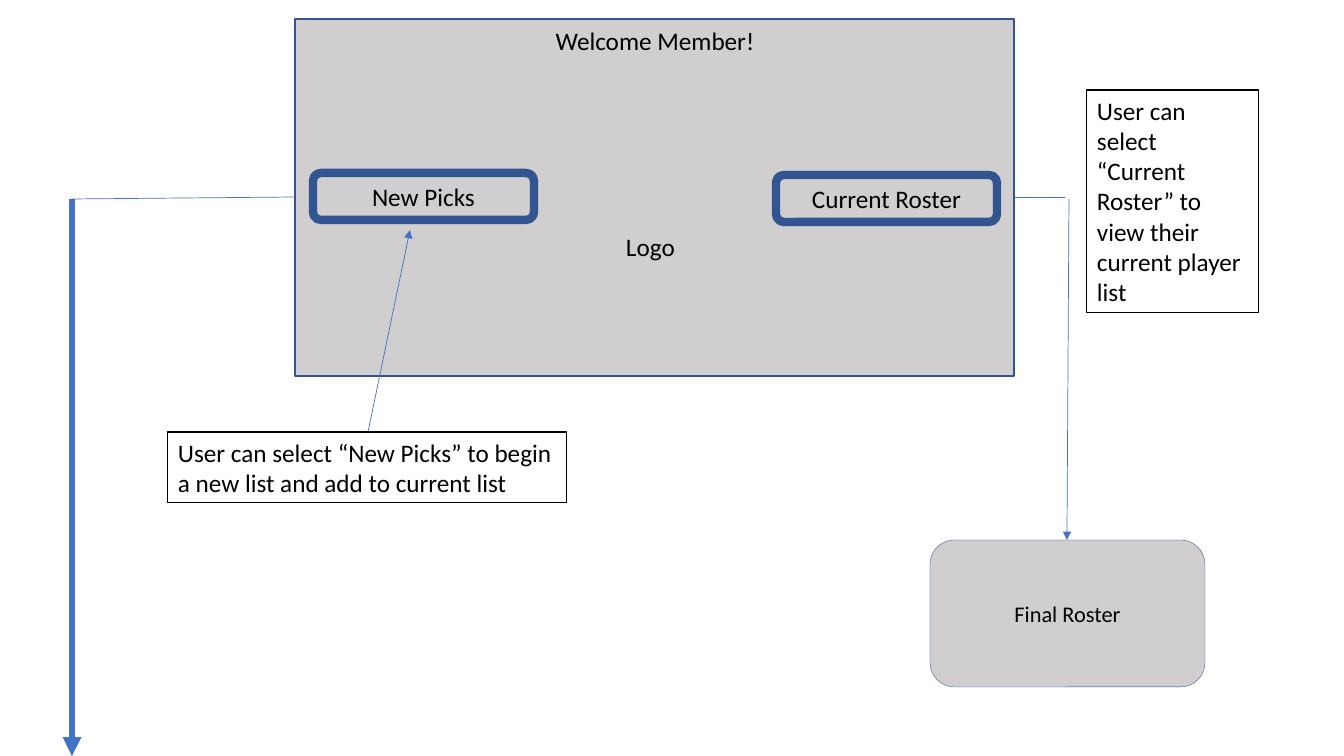
"""Build the member welcome screen flow slide."""
from lxml import etree
from pptx import Presentation
from pptx.dml.color import RGBColor
from pptx.enum.shapes import MSO_CONNECTOR as CONN, MSO_SHAPE as SHAPE
from pptx.enum.text import MSO_ANCHOR as ANCHOR, MSO_AUTO_SIZE as FIT, PP_ALIGN as ALIGN
from pptx.oxml.ns import qn
from pptx.util import Pt

PX = 914400 / 100.8
COLORS = {"panel": "D0CECE", "edge": "325491", "arrow": "4472C4", "ink": "000000"}


def px(*values):
    return [round(v * PX) for v in values]


def write(sp, text, size=18, align=ALIGN.LEFT, anchor=ANCHOR.TOP):
    tf = sp.text_frame
    tf.word_wrap = True
    tf.auto_size = FIT.NONE
    tf.vertical_anchor = anchor
    tf.margin_left, tf.margin_right, tf.margin_top, tf.margin_bottom = px(10, 10, 5, 5)
    p = tf.paragraphs[0]
    p.alignment = align
    r = p.add_run()
    r.text = text
    r.font.size = Pt(size)
    r.font.name = "Calibri"
    r.font.color.rgb = RGBColor.from_string(COLORS["ink"])


prs = Presentation()
prs.slide_width, prs.slide_height = px(1344, 756)
s = prs.slides.add_slide(prs.slide_layouts[5])

boxes = [
    (SHAPE.RECTANGLE, (295, 19, 719, 357), 1, ""),
    (SHAPE.ROUNDED_RECTANGLE, (313, 173, 221, 47), 6, "New Picks"),
    (SHAPE.ROUNDED_RECTANGLE, (776, 175, 221, 47), 6, "Current Roster"),
    (SHAPE.ROUNDED_RECTANGLE, (930, 540, 275, 147), 0.25, "Final Roster"),
]
for kind, place, weight, text in boxes:
    sp = s.shapes.add_shape(kind, *px(*place))
    sp.shadow.inherit = False
    sp.fill.solid()
    sp.fill.fore_color.rgb = RGBColor.from_string(COLORS["panel"])
    sp.line.color.rgb = RGBColor.from_string(COLORS["edge"])
    sp.line.width = Pt(weight)
    if text:
        write(sp, text, size=16 if text == "Final Roster" else 18,
              align=ALIGN.CENTER, anchor=ANCHOR.MIDDLE)

notes = [
    ((168, 432, 399, 71), "User can select “New Picks” to begin a new list and add to current list"),
    ((1087, 90, 172, 223), "User can select “Current Roster” to view their current player list"),
]
for place, text in notes:
    sp = s.shapes.add_textbox(*px(*place))
    sp.line.color.rgb = RGBColor.from_string(COLORS["ink"])
    sp.line.width = Pt(0.75)
    write(sp, text)

logo = s.shapes.add_textbox(*px(616, 226, 97, 40))
write(logo, "Logo")

title = s.shapes.title
title.left, title.top, title.width, title.height = px(534, 20, 242, 40)
write(title, "Welcome Member!", align=ALIGN.CENTER)
title.element.getparent().append(title.element)

links = [
    ((368, 432, 410, 230), 0.5, True),
    ((1014, 197, 1065, 197), 0.5, False),
    ((1069, 199, 1067, 540), 0.5, True),
    ((295, 197, 72, 199), 0.5, False),
    ((72, 199, 72, 756), 4.5, True),
]
for ends, weight, arrow in links:
    sp = s.shapes.add_connector(CONN.STRAIGHT, *px(*ends))
    sp.line.color.rgb = RGBColor.from_string(COLORS["arrow"])
    sp.line.width = Pt(weight)
    if arrow:
        etree.SubElement(sp.line._get_or_add_ln(), qn("a:tailEnd"), type="triangle")
    etree.SubElement(sp.element.spPr, qn("a:effectLst"))

prs.save("out.pptx")
